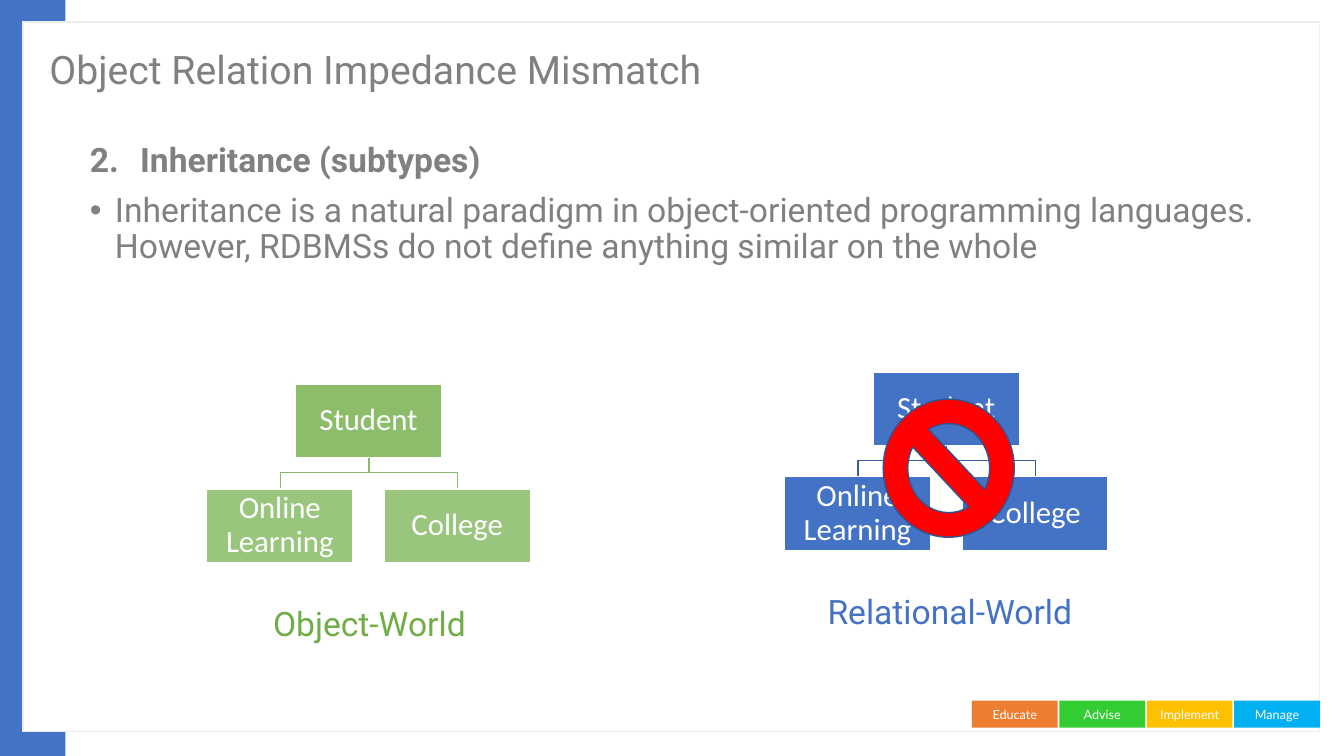
"""Build the slide on the object-relational inheritance mismatch."""
from lxml.etree import SubElement
from pptx import Presentation
from pptx.dml.color import RGBColor
from pptx.enum.shapes import MSO_SHAPE
from pptx.enum.text import MSO_ANCHOR, MSO_AUTO_SIZE, PP_ALIGN
from pptx.oxml.ns import qn
from pptx.util import Inches, Pt

WHITE = RGBColor(0xFF, 0xFF, 0xFF)
GRAY = RGBColor(0x80, 0x80, 0x80)
PALE = RGBColor(0xED, 0xED, 0xED)
BLUE = RGBColor(0x44, 0x72, 0xC4)
NAVY = RGBColor(0x36, 0x5B, 0x9D)
DARK = RGBColor(0x32, 0x54, 0x91)
GREEN = RGBColor(0x70, 0xAD, 0x47)
SAGE = RGBColor(0x88, 0xB7, 0x6F)
RED = RGBColor(0xFF, 0x00, 0x00)
ORANGE = RGBColor(0xED, 0x7D, 0x31)
LIME = RGBColor(0x33, 0xCC, 0x33)
GOLD = RGBColor(0xFF, 0xC0, 0x00)
SKY = RGBColor(0x00, 0xB0, 0xF0)

deck = Presentation()
deck.slide_width, deck.slide_height = Inches(13.33), Inches(7.5)
slide = deck.slides.add_slide(deck.slide_layouts[1])
shapes = slide.shapes


def write(par, text, font, size, color, bold=False):
    """Add one styled run."""
    run = par.add_run()
    run.text = text
    run.font.name, run.font.size, run.font.bold = font, Pt(size), bold
    run.font.color.rgb = color


def draw(area, fill, line=None, kind=MSO_SHAPE.RECTANGLE):
    """Add a flat shape with a centred text frame."""
    shape = shapes.add_shape(kind, *[Inches(n) for n in area])
    shape.shadow.inherit = False
    shape.fill.solid()
    shape.fill.fore_color.rgb = fill
    if line is None:
        shape.line.fill.background()
    else:
        shape.line.color.rgb = line
        shape.line.width = Pt(1)
    frame = shape.text_frame
    frame.word_wrap = True
    frame.vertical_anchor = MSO_ANCHOR.MIDDLE
    frame.margin_left = frame.margin_right = Inches(0.02)
    frame.margin_top = frame.margin_bottom = Inches(0.02)
    frame.paragraphs[0].alignment = PP_ALIGN.CENTER
    return shape


draw((0, 0, 0.65, 7.5), BLUE)
draw((0.23, 0.22, 12.86, 7.04), WHITE, PALE)

chips = [("Educate", ORANGE), ("Advise", LIME), ("Implement", GOLD), ("Manage", SKY)]
for i, (word, color) in enumerate(chips):
    chip = draw((9.64 + i * 0.867, 6.95, 0.85, 0.27), color)
    write(chip.text_frame.paragraphs[0], word, "Lato", 9, WHITE)

title, body = shapes.title, slide.placeholders[1]
places = [(title, (0.39, 0.28, 10.32, 0.87)), (body, (0.79, 1.37, 12.07, 5.53))]
for holder, area in places:
    holder.left, holder.top, holder.width, holder.height = [Inches(n) for n in area]
    holder.text_frame.auto_size = MSO_AUTO_SIZE.NONE
    holder.text_frame.word_wrap = True
    shapes.element.append(holder.element)

title.text_frame.vertical_anchor = MSO_ANCHOR.MIDDLE
head = title.text_frame.paragraphs[0]
head.alignment = PP_ALIGN.LEFT
head.line_spacing = 0.9
write(head, "Object Relation Impedance Mismatch", "Roboto", 28, GRAY)

points = [
    ("Inheritance (subtypes)", True, 0.5,
     "buAutoNum", {"type": "arabicPeriod", "startAt": "2"}),
    ("Inheritance is a natural paradigm in object-oriented programming languages. "
     "However, RDBMSs do not define anything similar on the whole", False, 0.25,
     "buChar", {"char": "•"}),
]
body.text_frame.vertical_anchor = MSO_ANCHOR.TOP
for i, (text, bold, indent, tag, marks) in enumerate(points):
    par = body.text_frame.add_paragraph() if i else body.text_frame.paragraphs[0]
    par.alignment = PP_ALIGN.LEFT
    par.line_spacing = 0.9
    par.space_before = Pt(10)
    write(par, text, "Roboto", 24, GRAY, bold)
    props = par._p.get_or_add_pPr()
    props.set("marL", str(Inches(indent)))
    props.set("indent", str(-Inches(indent)))
    if tag == "buChar":
        SubElement(props, qn("a:buFont"), typeface="Arial")
    SubElement(props, qn("a:" + tag), marks)

worlds = [
    ("Object-World", 2.05, 3.81, 2.61, 2.51, GREEN, SAGE, (80, 70)),
    ("Relational-World", 7.78, 3.69, 8.11, 2.9, BLUE, NAVY, (100, 100)),
]
for name, left, top, start, width, color, edge, alphas in worlds:
    label = shapes.add_textbox(Inches(start), Inches(top + 2.12), Inches(width), Inches(0.5))
    label.text_frame.word_wrap = True
    write(label.text_frame.paragraphs[0], name, "Roboto", 24, color)

    mid = left + 1.61
    for end in (mid + 0.88, mid - 0.88):
        path = shapes.build_freeform(Inches(mid), Inches(top + 0.73))
        corners = [(mid, top + 0.88), (end, top + 0.88), (end, top + 1.04)]
        path.add_line_segments([(Inches(x), Inches(y)) for x, y in corners], close=False)
        branch = path.convert_to_shape()
        branch.shadow.inherit = False
        branch.fill.background()
        branch.line.color.rgb = edge
        branch.line.width = Pt(1)

    nodes = [
        ("Student", 0.88, 0, alphas[0]),
        ("Online Learning", 0, 1.04, alphas[1]),
        ("College", 1.76, 1.04, alphas[1]),
    ]
    for word, right, down, alpha in nodes:
        node = draw((left + right, top + down, 1.45, 0.73), color, WHITE)
        if alpha < 100:
            tint = node.element.find(".//" + qn("a:srgbClr"))
            SubElement(tint, qn("a:alpha"), val=str(alpha * 1000))
        par = node.text_frame.paragraphs[0]
        par.line_spacing = 0.9
        write(par, word, "Calibri", 22, WHITE)

draw((8.76, 3.96, 1.3, 1.37), RED, DARK, MSO_SHAPE.NO_SYMBOL)

deck.save("out.pptx")
